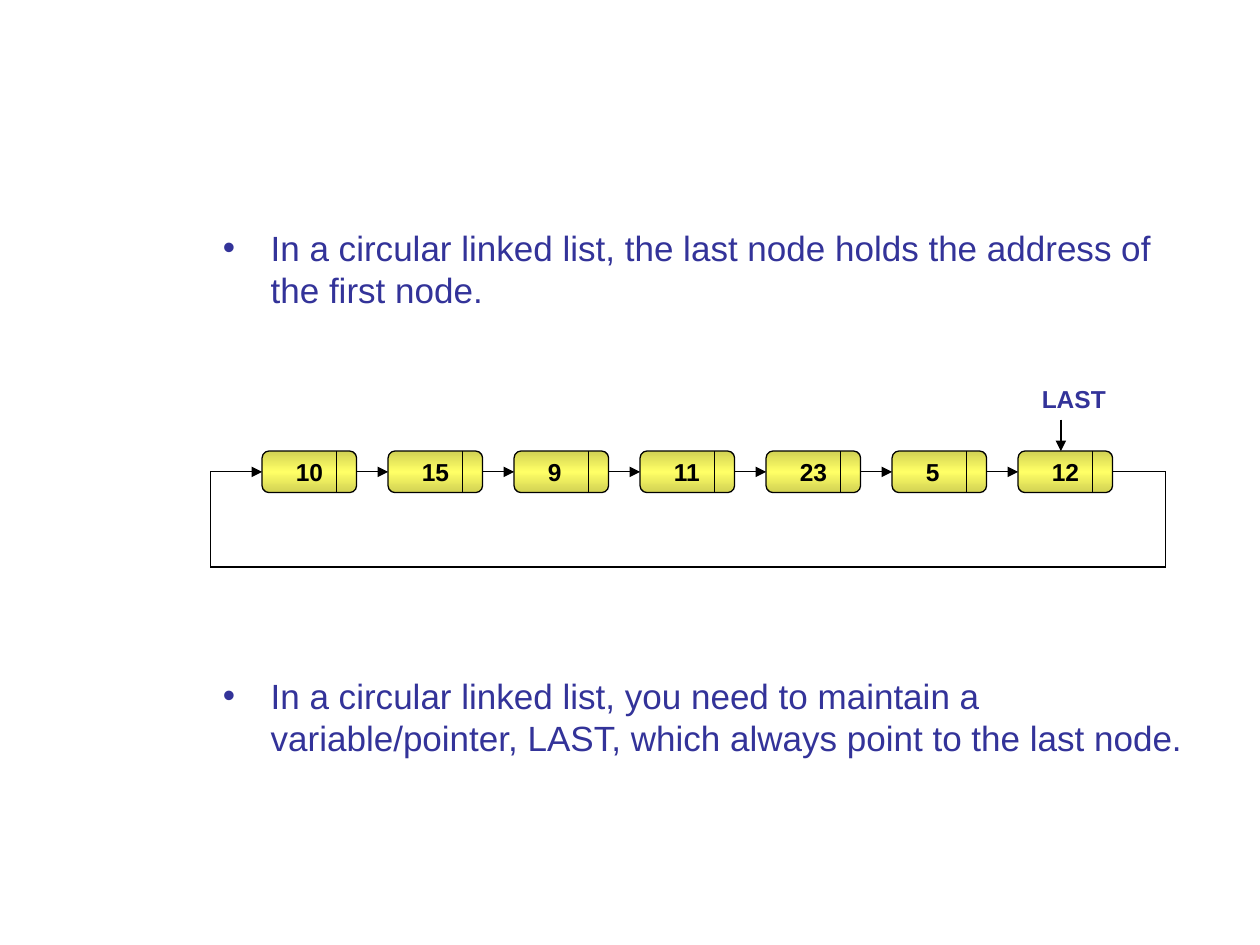
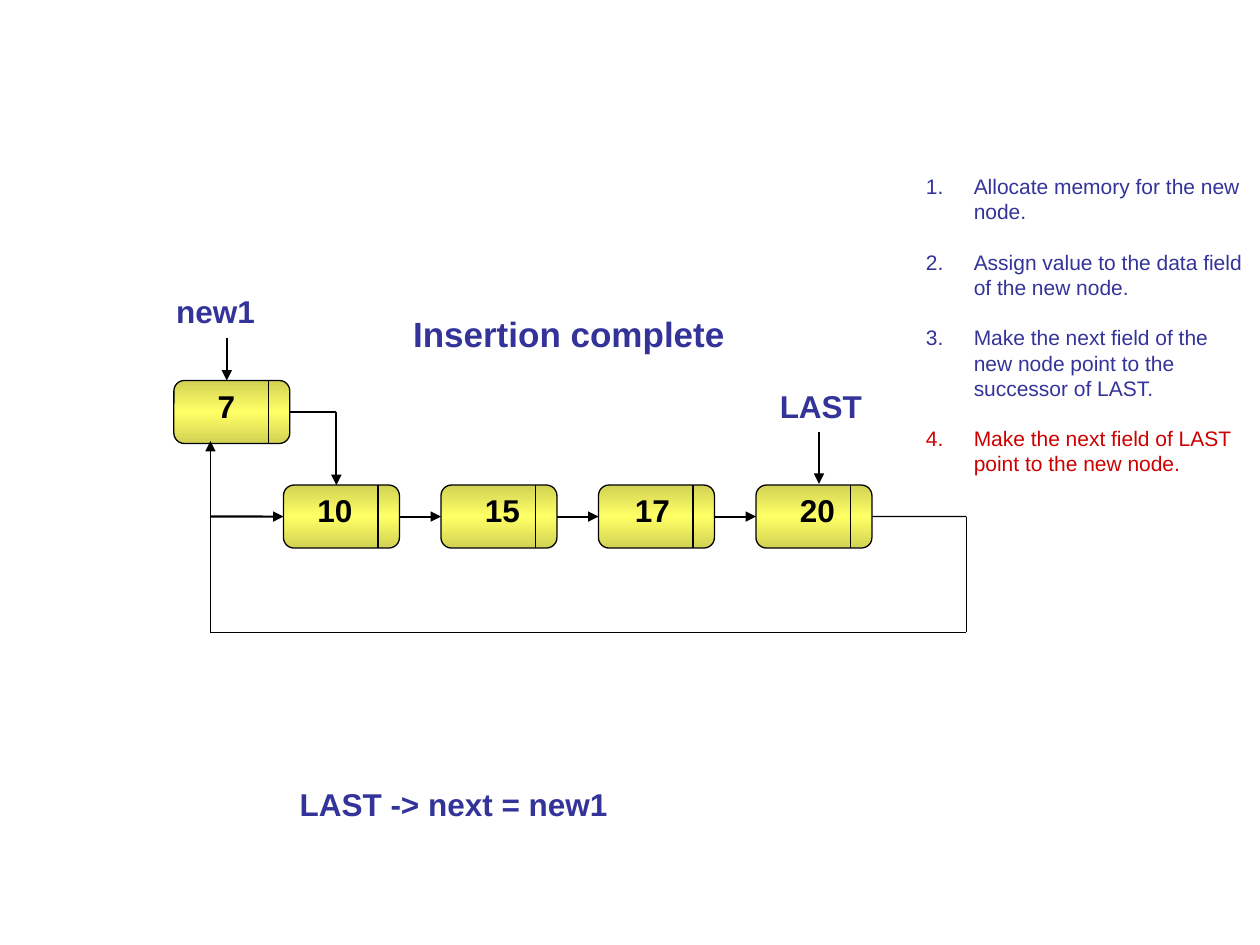
"""Build two slides on circular linked lists."""
from copy import deepcopy
from itertools import pairwise

from lxml.etree import SubElement as Sub
from pptx import Presentation
from pptx.dml.color import RGBColor as Rgb
from pptx.enum.shapes import MSO_CONNECTOR as Link, MSO_SHAPE as Kind
from pptx.oxml.ns import qn
from pptx.util import Inches, Pt

HUE = {"blue": "333399", "red": "CC0000", "black": "000000",
       "edge": "D2D254", "glow": "FFFF66"}
FONT = "Arial"
THIN, THICK = 0.75, 1.25
HANG = 0.38
RAIL = 1.67

FACTS = [
    ("In a circular linked list, the last node holds the address of the first node.", "blue"),
    ("In a circular linked list, you need to maintain a variable/pointer, LAST, "
     "which always point to the last node.", "blue"),
]
STEPS = [
    ("Allocate memory for the new node.", "blue"),
    ("Assign value to the data field of the new node.", "blue"),
    ("Make the next field of the new node point to the successor of LAST.", "blue"),
    ("Make the next field of LAST point to the new node.", "red"),
]
SMALL = {"w": 0.75, "h": 0.33, "cut": 0.59, "size": 14}
LARGE = {"w": 0.92, "h": 0.5, "cut": 0.75, "size": 18}
RING = {"style": SMALL, "left": 2.08, "top": 3.58, "step": 1, "weight": THIN,
        "right": 9.25, "floor": 4.5,
        "nodes": [(value, 0.17) for value in ("10", "15", "9", "11", "23", "5", "12")]}
CHAIN = {"style": LARGE, "left": 2.25, "top": 3.85, "step": 1.25, "weight": THICK,
         "right": 7.67, "floor": 5.02,
         "nodes": [("10", 0.17), ("15", 0.25), ("17", 0.19), ("20", 0.25)]}


def color(name):
    return Rgb.from_string(HUE[name])


def write(slide, at, items, size, bold=False, mark=None, gap=0):
    box = slide.shapes.add_textbox(*map(Inches, at))
    frame = box.text_frame
    frame.word_wrap = True
    for i, (text, hue) in enumerate(items):
        para = frame.paragraphs[0] if i == 0 else frame.add_paragraph()
        para.text = text
        para.line_spacing = Pt(size * 1.2)
        if i:
            para.space_before = Pt(gap)
        if mark:
            props = para._p.get_or_add_pPr()
            props.set("marL", str(Inches(HANG)))
            props.set("indent", str(-Inches(HANG)))
            tag, value = mark
            Sub(props, qn("a:buFont"), typeface=FONT)
            Sub(props, qn("a:" + tag), **value)
        font = para.runs[0].font
        font.name, font.size, font.bold = FONT, Pt(size), bold
        font.color.rgb = color(hue)


def label(slide, x, y, width, text, size, hue="blue"):
    write(slide, (x, y, width, size / 60 + 0.1), [(text, hue)], size, bold=True)


def line(slide, start, end, weight=THIN, head=False):
    link = slide.shapes.add_connector(Link.STRAIGHT, *map(Inches, (*start, *end)))
    link.line.color.rgb = color("black")
    link.line.width = Pt(weight)
    if head:
        Sub(link.line._get_or_add_ln(), qn("a:tailEnd"), type="triangle")
    Sub(link._element.spPr, qn("a:effectLst"))
    return link


def add_node(slide, x, y, value, inset, style):
    w, h, cut = style["w"], style["h"], x + style["cut"]
    node = slide.shapes.add_shape(Kind.ROUNDED_RECTANGLE, *map(Inches, (x, y, w, h)))
    node.shadow.inherit = False
    node.line.color.rgb = color("black")
    node.line.width = Pt(THIN)
    fill = node.fill
    fill.gradient()
    fill.gradient_angle = 90
    stops = node._element.spPr.find(".//" + qn("a:gsLst"))
    stops.append(deepcopy(stops[0]))
    for stop, hue, place in zip(fill.gradient_stops, ("edge", "glow", "edge"), (0, 0.5, 1)):
        stop.color.rgb = color(hue)
        stop.position = place
    line(slide, (cut, y), (cut, y + h))
    label(slide, x + inset, y, 0.5, value, style["size"], "black")
    return node


def add_ring(slide, ring):
    style, left, top, step = (ring[key] for key in ("style", "left", "top", "step"))
    weight, right, floor = ring["weight"], ring["right"], ring["floor"]
    mid = top + style["h"] / 2
    nodes = [add_node(slide, left + i * step, top, value, inset, style)
             for i, (value, inset) in enumerate(ring["nodes"])]
    end = left + (len(nodes) - 1) * step + style["w"]
    for i, (one, two) in enumerate(pairwise(nodes)):
        x = left + i * step
        link = line(slide, (x + style["w"], mid), (x + step, mid), weight, True)
        link.begin_connect(one, 3)
        link.end_connect(two, 1)
    path = [(end, mid), (right, mid), (right, floor), (RAIL, floor), (RAIL, mid)]
    links = [line(slide, a, b) for a, b in pairwise(path)]
    links[0].begin_connect(nodes[-1], 3)
    back = line(slide, (RAIL, mid), (left, mid), weight, True)
    back.end_connect(nodes[0], 1)


def show_ring(slide):
    write(slide, (1.67, 1.75, 8, 4.5), FACTS, 20, mark=("buChar", {"char": "•"}), gap=208)
    add_ring(slide, RING)
    label(slide, 8.17, 3, 0.8, "LAST", 14)
    line(slide, (8.42, 3.33), (8.42, 3.58), head=True)


def show_insert(slide):
    label(slide, 2.28, 6.18, 2.8, "LAST -> next = new1", 18)
    label(slide, 3.18, 2.43, 3.25, "Insertion complete", 20)
    write(slide, (7.25, 1.33, 2.75, 2.5), STEPS, 12,
          mark=("buAutoNum", {"type": "arabicPeriod"}), gap=14.4)
    add_ring(slide, CHAIN)
    fresh = add_node(slide, 1.38, 3.02, "7", 0.25, LARGE)
    out = line(slide, (2.3, 3.27), (2.67, 3.27))
    out.begin_connect(fresh, 3)
    line(slide, (2.67, 3.27), (2.67, 3.85), THICK, True)
    line(slide, (RAIL, 5.02), (RAIL, 3.5), head=True)
    label(slide, 1.3, 2.27, 0.9, "new1", 18)
    line(slide, (1.8, 2.68), (1.8, 3.02), THICK, True)
    label(slide, 6.09, 3.02, 0.95, "LAST", 18)
    line(slide, (6.5, 3.43), (6.5, 3.84), head=True)


def main():
    deck = Presentation()
    deck.slide_width, deck.slide_height = Inches(10), Inches(7.5)
    for show in (show_ring, show_insert):
        show(deck.slides.add_slide(deck.slide_layouts[6]))
    deck.save("out.pptx")


if __name__ == "__main__":
    main()
